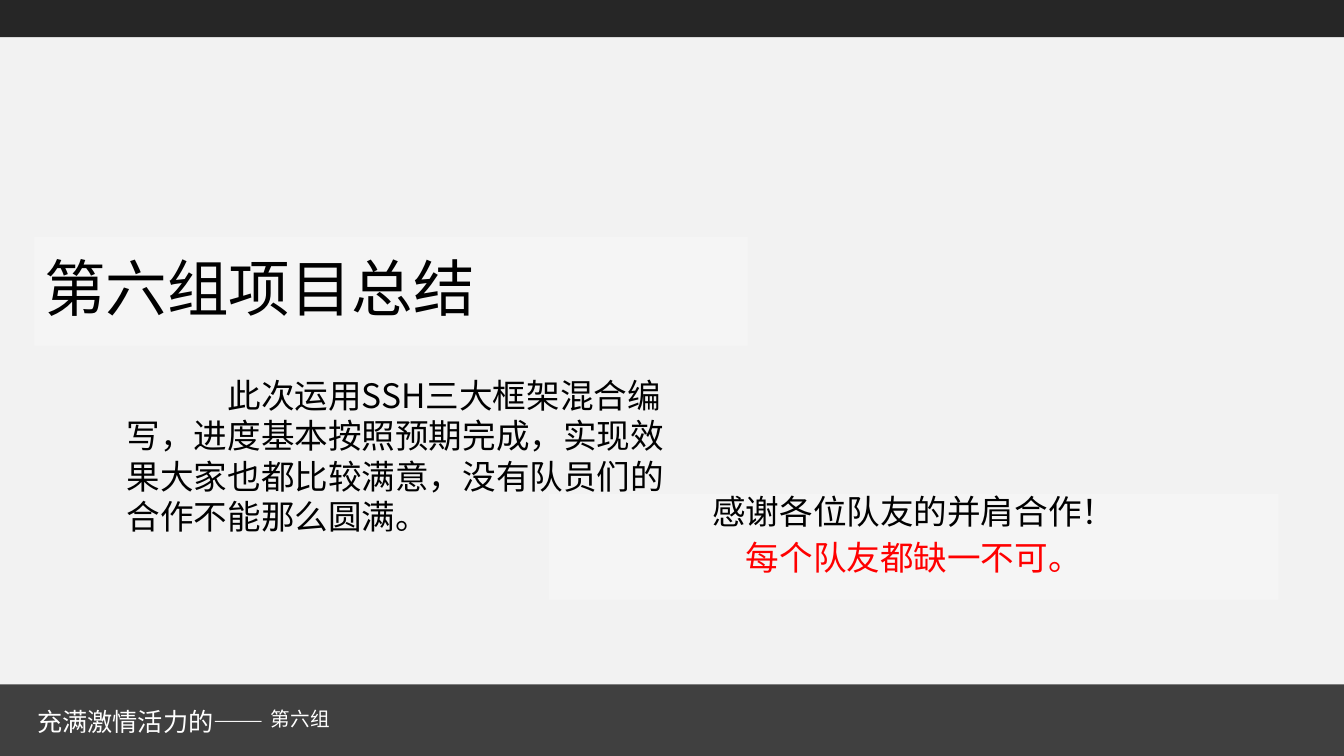
from lxml import etree
from pptx import Presentation
from pptx.dml.color import RGBColor
from pptx.enum.shapes import MSO_SHAPE as SHAPE
from pptx.enum.text import MSO_ANCHOR as ANCHOR, PP_ALIGN as ALIGN
from pptx.oxml.ns import qn
from pptx.util import Inches, Pt

WIDTH, HEIGHT = Inches(13.34), Inches(7.5)
PAPER = RGBColor(0xF2, 0xF2, 0xF2)
TOP_GREY = RGBColor(0x26, 0x26, 0x26)
FOOT_GREY = RGBColor(0x40, 0x40, 0x40)
WHITE = RGBColor(0xFF, 0xFF, 0xFF)
BLACK = RGBColor(0, 0, 0)
RED = RGBColor(0xFF, 0, 0)
LATIN, CJK = "Calibri", "Noto Sans CJK SC"


def add_bar(slide, box, color, alpha=None):
    """Borderless rectangle, optionally see-through (alpha in percent)."""
    sp = slide.shapes.add_shape(SHAPE.RECTANGLE, *box)
    sp.shadow.inherit = False
    sp.line.fill.background()
    sp.fill.solid()
    sp.fill.fore_color.rgb = color
    if alpha is not None:
        clr = sp.fill._xPr.find(qn("a:solidFill"))[0]
        etree.SubElement(clr, qn("a:alpha"), val=str(alpha * 1000))
    return sp


def write(sp, lines, size, font=LATIN, east_asian=LATIN, anchor=ANCHOR.TOP,
          indent=None, **layout):
    """Fill a shape with (text, color) lines sharing one paragraph layout."""
    tf = sp.text_frame
    tf.word_wrap = True
    tf.vertical_anchor = anchor
    for i, (text, color) in enumerate(lines):
        p = tf.add_paragraph() if i else tf.paragraphs[0]
        for name, value in ({"alignment": ALIGN.LEFT} | layout).items():
            if i or name != "space_before":
                setattr(p, name, value)
        if indent:
            p._p.get_or_add_pPr().set("indent", str(indent))
        r = p.add_run()
        r.text = text
        for name, value in {"size": Pt(size), "name": font}.items():
            setattr(r.font, name, value)
        r.font.color.rgb = color
        etree.SubElement(r._r.get_or_add_rPr(), qn("a:ea"), typeface=east_asian)


def add_label(slide, box, text, color, size, **style):
    write(slide.shapes.add_textbox(*box), [(text, color)], size, **style)


def area(left, top, width, height):
    return [Inches(v) for v in (left, top, width, height)]


def main():
    prs = Presentation()
    prs.slide_width, prs.slide_height = WIDTH, HEIGHT
    slide = prs.slides.add_slide(prs.slide_layouts[6])
    slide.background.fill.solid()
    slide.background.fill.fore_color.rgb = PAPER

    # Bars at foot and top
    foot, top = Inches(0.71), Inches(0.37)
    add_bar(slide, (0, HEIGHT - foot, WIDTH, foot), FOOT_GREY)
    add_bar(slide, (0, 0, WIDTH, top), TOP_GREY)

    # Title and thanks on translucent panels
    title = add_bar(slide, area(0.34, 2.35, 7.08, 1.08), WHITE, 30)
    write(title, [("第六组项目总结", BLACK)], 44,
          anchor=ANCHOR.MIDDLE, line_spacing=0.9)
    thanks = add_bar(slide, area(5.45, 4.9, 7.24, 1.05), WHITE, 30)
    write(thanks, [("感谢各位队友的并肩合作！", BLACK), ("每个队友都缺一不可。", RED)], 24,
          alignment=ALIGN.CENTER, line_spacing=0.8, space_before=Pt(10))

    # Footer labels
    add_label(slide, area(0.27, 6.94, 2.63, 0.4), "充满激情活力的——", WHITE, 18,
              east_asian=CJK, line_spacing=Pt(23))
    add_label(slide, area(2.59, 6.96, 1.82, 0.34), "第六组", WHITE, 14, font=CJK)

    # Summary paragraph
    add_label(slide, area(1.16, 3.67, 5.67, 1.7),
              "此次运用SSH三大框架混合编写，进度基本按照预期完成，"
              "实现效果大家也都比较满意，没有队员们的合作不能那么圆满。",
              BLACK, 24, font=CJK, indent=Inches(1), line_spacing=Pt(28.8))

    prs.save("out.pptx")


if __name__ == "__main__":
    main()
